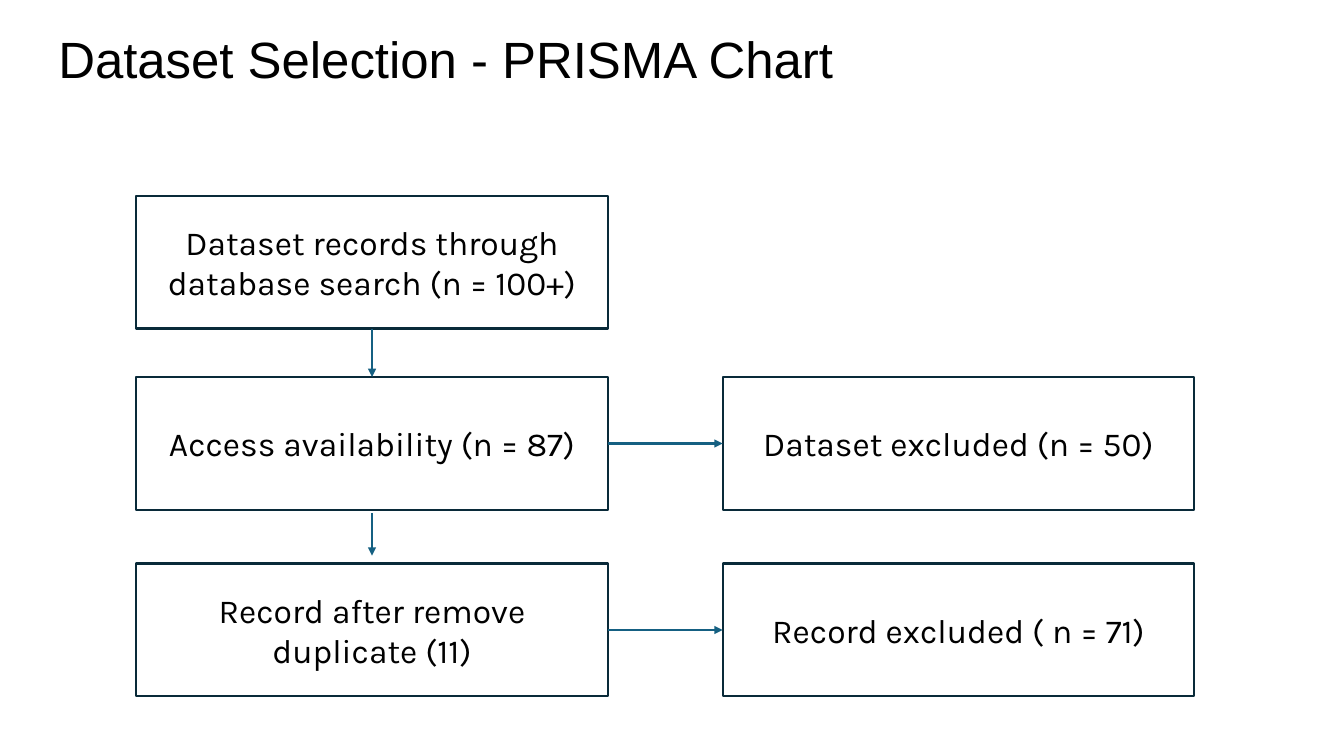
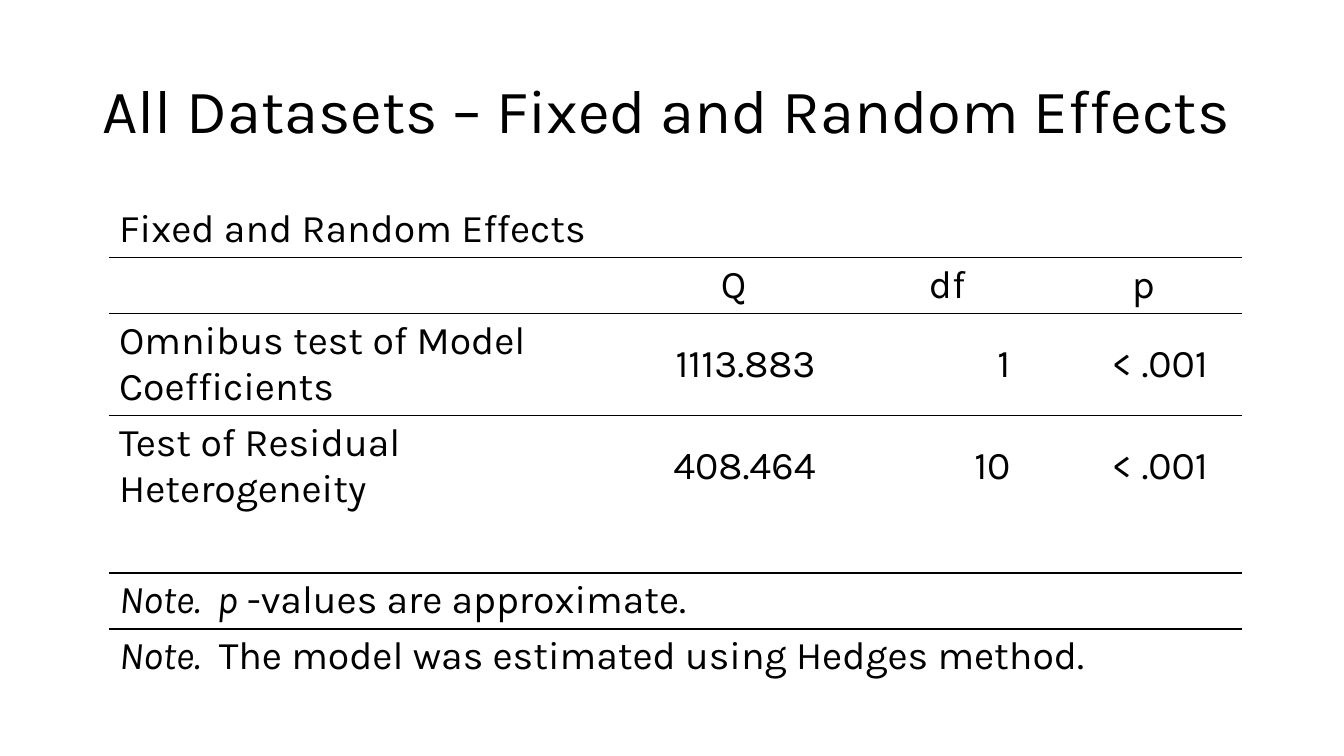
from dataclasses import dataclass

from lxml import etree
from pptx import Presentation
from pptx.dml.color import RGBColor
from pptx.enum.shapes import MSO_CONNECTOR, MSO_SHAPE
from pptx.enum.text import MSO_ANCHOR, MSO_AUTO_SIZE, PP_ALIGN
from pptx.oxml import parse_xml
from pptx.oxml.ns import nsdecls, qn
from pptx.util import Cm, Pt

LEFT, CENTER, RIGHT = PP_ALIGN.LEFT, PP_ALIGN.CENTER, PP_ALIGN.RIGHT
TOP, MIDDLE = MSO_ANCHOR.TOP, MSO_ANCHOR.MIDDLE
NO_FIT = MSO_AUTO_SIZE.NONE
RECT = MSO_SHAPE.RECTANGLE
STRAIGHT = MSO_CONNECTOR.STRAIGHT
UP_SIDE, LEFT_SIDE, DOWN_SIDE, RIGHT_SIDE = range(4)
TITLE_ONLY = 5
PLAIN_GRID = "{2D5ABB26-0587-4C30-8999-92F81FD0307C}"


@dataclass(frozen=True)
class Theme:
    ink: str = "000000"
    frame: str = "092A39"
    arrow: str = "156082"
    body: str = "Karla"
    head: str = "Arial"
    head_size: float = 36.4
    title_size: float = 44
    box_size: float = 24
    cell_size: float = 28
    line: float = 1.5


THEME = Theme()

# Flow chart grid, in cm
BOX_W, BOX_H = 11.89, 3.35
COLS = (3.43, 18.21)
ROWS = (4.93, 9.5, 14.2)
BOXES = {
    "found": (0, 0, "Dataset records through database search (n = 100+)"),
    "access": (0, 1, "Access availability (n = 87)"),
    "kept": (0, 2, "Record after remove duplicate (11)"),
    "no_data": (1, 1, "Dataset excluded (n = 50)"),
    "no_rec": (1, 2, "Record excluded ( n = 71)"),
}
LINKS = (
    ("found", DOWN_SIDE, "access", UP_SIDE),
    ("access", RIGHT_SIDE, "no_data", LEFT_SIDE),
    ("kept", RIGHT_SIDE, "no_rec", LEFT_SIDE),
)

# Effects table: value columns alternate with narrow gaps, in cm
GAP = 0.56
WIDTHS = [w for col in (12.2, 5.25, 4.3, 4.37) for w in (col, GAP)]
LOW, HIGH = 1.4, 2.56
HEADS = ("", "Q", "df", "p")
TESTS = (
    ("Omnibus test of Model Coefficients", "1113.883", "1", "< .001"),
    ("Test of Residual Heterogeneity", "408.464", "10", "< .001"),
)
NOTES = (
    ("Note.  p", " -values are approximate."),
    ("Note.", "  The model was estimated using Hedges method."),
)
RULES = {0: 0.6, 1: 0.6, 4: 1.2}  # row above the rule: points


def style(para, size, align=LEFT, face=THEME.body):
    para.alignment = align
    for run in para.runs:
        run.font.name = face
        run.font.size = Pt(size)
        run.font.color.rgb = RGBColor.from_string(THEME.ink)


def add_title(deck, text, place, size, face, anchor, pad):
    """Add a slide with a placed title and return the slide."""
    slide = deck.slides.add_slide(deck.slide_layouts[TITLE_ONLY])
    title = slide.shapes.title
    title.left, title.top, title.width, title.height = map(Cm, place)
    frame = title.text_frame
    frame.text = text
    frame.word_wrap = True
    frame.auto_size = NO_FIT
    frame.vertical_anchor = anchor
    frame.margin_left = frame.margin_right = Cm(pad[0])
    frame.margin_top = frame.margin_bottom = Cm(pad[1])
    para = frame.paragraphs[0]
    para.line_spacing = 0.9
    style(para, size, face=face)
    return slide


def add_box(slide, col, row, text):
    box = slide.shapes.add_shape(
        RECT, Cm(COLS[col]), Cm(ROWS[row]), Cm(BOX_W), Cm(BOX_H))
    box.shadow.inherit = False
    box.fill.background()
    box.line.color.rgb = RGBColor.from_string(THEME.frame)
    box.line.width = Pt(THEME.line)
    frame = box.text_frame
    frame.text = text
    frame.word_wrap = True
    frame.vertical_anchor = MIDDLE
    style(frame.paragraphs[0], THEME.box_size, CENTER)
    return box


def add_arrow(slide, start=(0, 0), end=(0, 0)):
    arrow = slide.shapes.add_connector(STRAIGHT, *map(Cm, start + end))
    arrow.line.color.rgb = RGBColor.from_string(THEME.arrow)
    arrow.line.width = Pt(THEME.line)
    props = arrow.line._get_or_add_ln()
    etree.SubElement(props, qn("a:tailEnd"), type="triangle")
    etree.SubElement(arrow._element.spPr, qn("a:effectLst"))
    return arrow


def add_rule(cell, side, width):
    cell._tc.get_or_add_tcPr().append(parse_xml(
        f'<a:ln{side} {nsdecls("a")} w="{Pt(width)}"><a:solidFill>'
        f'<a:srgbClr val="{THEME.ink}"/></a:solidFill></a:ln{side}>'))


def fill_cell(cell, text, align=LEFT):
    cell.text = text
    para = cell.text_frame.paragraphs[0]
    style(para, THEME.cell_size, align)
    return para


def add_chart(deck):
    slide = add_title(
        deck, "Dataset Selection - PRISMA Chart", (1.14, 0.53, 31.55, 2.13),
        THEME.head_size, THEME.head, TOP, (0.33, 0.33))
    boxes = {key: add_box(slide, *item) for key, item in BOXES.items()}
    for start, out, end, into in LINKS:
        arrow = add_arrow(slide)
        arrow.begin_connect(boxes[start], out)
        arrow.end_connect(boxes[end], into)
    # This arrow stands free between its two boxes
    mid = COLS[0] + BOX_W / 2
    add_arrow(slide, (mid, 12.93), (mid, 14))


def add_effects(deck):
    slide = add_title(
        deck, "All Datasets – Fixed and Random Effects",
        (2.33, 1.01, 29.21, 3.68), THEME.title_size, THEME.body, MIDDLE,
        (0.25, 0.13))
    highs = [LOW, LOW, HIGH, HIGH, LOW, LOW, LOW]
    table = slide.shapes.add_table(
        len(highs), len(WIDTHS), Cm(2.75), Cm(5.08),
        Cm(sum(WIDTHS)), Cm(sum(highs))).table
    table.first_row = table.horz_banding = False
    table._tbl.tblPr.find(qn("a:tableStyleId")).text = PLAIN_GRID
    for col, width in zip(table.columns, WIDTHS):
        col.width = Cm(width)
    for row, high in zip(table.rows, highs):
        row.height = Cm(high)

    # Rules and plain fills
    for num, row in enumerate(table.rows):
        for cell in row.cells:
            if num - 1 in RULES:
                add_rule(cell, "T", RULES[num - 1])
            if num in RULES:
                add_rule(cell, "B", RULES[num])
            cell.fill.background()
            cell.vertical_anchor = MIDDLE

    # Rows across the whole table, then the paired heads
    last = len(WIDTHS) - 1
    for num in (0, 4, 5, 6):
        table.cell(num, 0).merge(table.cell(num, last))
    for pos, text in enumerate(HEADS):
        cell = table.cell(1, 2 * pos)
        cell.merge(table.cell(1, 2 * pos + 1))
        fill_cell(cell, text, CENTER)

    # Contents
    fill_cell(table.cell(0, 0), "Fixed and Random Effects")
    for num, test in enumerate(TESTS, 2):
        for pos, text in enumerate(test):
            fill_cell(table.cell(num, 2 * pos), text, RIGHT if pos else LEFT)
    for num, (lead, rest) in enumerate(NOTES, 5):
        para = fill_cell(table.cell(num, 0), lead)
        para.runs[0].font.italic = True
        para.add_run().text = rest
        style(para, THEME.cell_size)


def main():
    deck = Presentation()
    deck.slide_width, deck.slide_height = Cm(33.87), Cm(19.05)
    add_chart(deck)
    add_effects(deck)
    deck.save("out.pptx")


if __name__ == "__main__":
    main()
